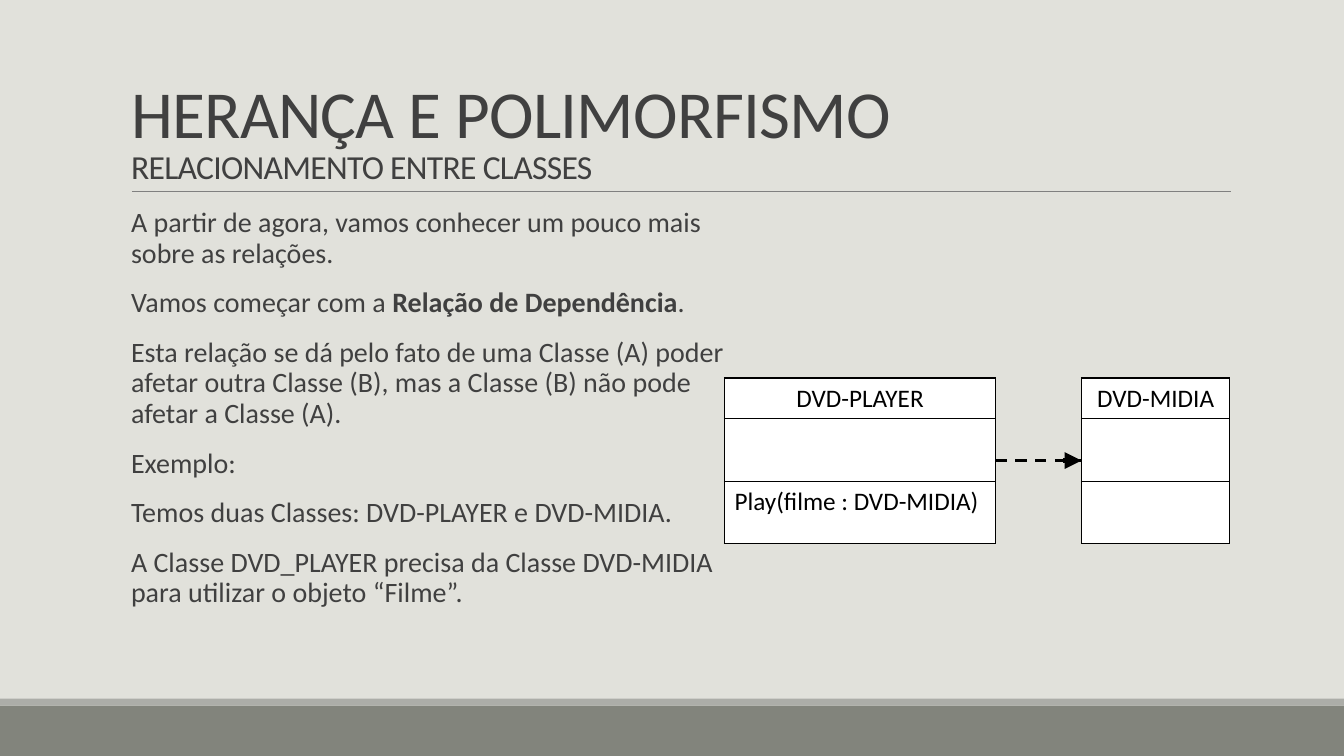
import dataclasses

import pptx
import pptx.dml.color
import pptx.enum.dml
import pptx.enum.shapes
import pptx.enum.text
import pptx.oxml
import pptx.oxml.ns
import pptx.util

Pt = pptx.util.Pt
ALIGN = pptx.enum.text.PP_ALIGN


@dataclasses.dataclass(frozen=True)
class Theme:
    font: str = "Calibri"
    background: str = "E1E1DB"
    band: str = "82847C"
    stripe: str = "ACADA8"
    rule: str = "808080"
    text: str = "404040"
    ink: str = "000000"
    paper: str = "FFFFFF"
    title_size: float = 48
    subtitle_size: float = 24
    body_size: float = 20
    class_size: float = 18


@dataclasses.dataclass(frozen=True)
class Box:
    left: float
    top: float
    width: float
    height: float

    @property
    def right(self):
        return self.left + self.width

    @property
    def lengths(self):
        return [Pt(value) for value in (self.left, self.top, self.width, self.height)]


THEME = Theme()
SLIDE = Box(0, 0, 960, 540)

PARAGRAPHS = [
    ["A partir de agora, vamos conhecer um pouco mais sobre as relações."],
    ["Vamos começar com a ", "Relação de Dependência", "."],
    ["Esta relação se dá pelo fato de uma Classe (A) poder afetar outra Classe (B), "
     "mas a Classe (B) não pode afetar a Classe (A)."],
    ["Exemplo:"],
    ["Temos duas Classes: DVD-PLAYER e DVD-MIDIA."],
    ["A Classe DVD_PLAYER precisa da Classe DVD-MIDIA para utilizar o objeto “Filme”."],
]


def rgb(value):
    return pptx.dml.color.RGBColor.from_string(value)


def add_xml(parent, tag, **attributes):
    element = pptx.oxml.parse_xml(f"<a:{tag} {pptx.oxml.ns.nsdecls('a')}/>")
    for name, value in attributes.items():
        element.set(name, value)
    parent.append(element)
    return element


def style_span(span, size, color):
    span.font.name = THEME.font
    span.font.size = Pt(size)
    span.font.color.rgb = rgb(color)


def add_line(page, start, end, color, width):
    line = page.shapes.add_connector(
        pptx.enum.shapes.MSO_CONNECTOR.STRAIGHT, *[Pt(value) for value in (*start, *end)])
    line.line.color.rgb = rgb(color)
    line.line.width = Pt(width)
    add_xml(line._element.spPr, "effectLst")
    return line


def add_bar(page, box, color):
    bar = page.shapes.add_shape(pptx.enum.shapes.MSO_SHAPE.RECTANGLE, *box.lengths)
    bar.shadow.inherit = False
    bar.fill.solid()
    bar.fill.fore_color.rgb = rgb(color)
    bar.line.fill.background()


def add_footer(page, box):
    stripe_height = 5
    add_bar(page, Box(box.left, box.top + stripe_height, box.width,
                      box.height - stripe_height), THEME.band)
    add_bar(page, Box(box.left, box.top, box.width, stripe_height), THEME.stripe)


def place(placeholder, box):
    placeholder.left, placeholder.top, placeholder.width, placeholder.height = box.lengths
    frame = placeholder.text_frame
    frame.word_wrap = True
    frame.auto_size = pptx.enum.text.MSO_AUTO_SIZE.NONE
    return frame


def fill_title(page, box):
    frame = place(page.shapes.title, box)
    frame.vertical_anchor = pptx.enum.text.MSO_ANCHOR.BOTTOM
    frame.text = "HERANÇA E POLIMORFISMO\vRELACIONAMENTO ENTRE CLASSES"
    para = frame.paragraphs[0]
    para.alignment = ALIGN.LEFT
    para.line_spacing = 0.85
    for span, size in zip(para.runs, (THEME.title_size, THEME.subtitle_size)):
        style_span(span, size, THEME.text)
        span.font._element.set("spc", "-50")
    add_line(page, (box.left + 7.8, box.top + box.height),
             (box.right + 0.7, box.top + box.height), THEME.rule, 0.5)


def fill_body(page, box):
    """Write the paragraphs; the second span of a paragraph is the bold term."""
    frame = place(page.placeholders[1], box)
    frame.vertical_anchor = pptx.enum.text.MSO_ANCHOR.TOP
    frame.margin_left = frame.margin_right = 0
    for index, pieces in enumerate(PARAGRAPHS):
        para = frame.add_paragraph() if index else frame.paragraphs[0]
        para.alignment = ALIGN.LEFT
        para.line_spacing = 0.9
        para.space_before = Pt(12)
        para.space_after = Pt(2)
        properties = para._p.get_or_add_pPr()
        properties.set("marL", str(Pt(7.2)))
        properties.set("indent", "0")
        add_xml(properties, "buNone")
        for position, piece in enumerate(pieces):
            span = para.add_run()
            span.text = piece
            style_span(span, THEME.body_size, THEME.text)
            span.font.bold = position == 1


def style_cell(cell):
    properties = cell._tc.get_or_add_tcPr()
    for side in ("lnL", "lnR", "lnT", "lnB"):
        border = add_xml(properties, side, w=str(Pt(1)))
        add_xml(add_xml(border, "solidFill"), "srgbClr", val=THEME.ink)
    cell.fill.solid()
    cell.fill.fore_color.rgb = rgb(THEME.paper)


def add_class(page, box, name, method=""):
    """Draw a class as a table of name, attributes and methods."""
    table = page.shapes.add_table(3, 1, *box.lengths).table
    table.first_row = table.horz_banding = False
    name_height = 28.8
    part_height = (box.height - name_height) / 2
    rows = zip(table.rows, (name_height, part_height, part_height), (name, "", method))
    for row, height, text in rows:
        row.height = Pt(height)
        cell = row.cells[0]
        style_cell(cell)
        if text:
            cell.text = text
            para = cell.text_frame.paragraphs[0]
            para.alignment = ALIGN.CENTER if text == name else ALIGN.LEFT
            style_span(para.runs[0], THEME.class_size, THEME.ink)


def add_class_diagram(page, box):
    player = Box(box.left, box.top, 193.7, box.height)
    media = Box(box.right - 106, box.top, 106, box.height)
    add_class(page, player, "DVD-PLAYER", "Play(filme : DVD-MIDIA)")
    add_class(page, media, "DVD-MIDIA")
    middle = box.top + box.height / 2
    shaft = add_line(page, (player.right, middle), (media.left, middle), THEME.ink, 2)
    shaft.line.dash_style = pptx.enum.dml.MSO_LINE.DASH
    head = add_line(page, (media.left - 13, middle), (media.left, middle), THEME.ink, 4)
    add_xml(head.line._get_or_add_ln(), "tailEnd", type="triangle")


def build_slide(deck):
    page = deck.slides.add_slide(deck.slide_layouts[1])
    page.background.fill.solid()
    page.background.fill.fore_color.rgb = rgb(THEME.background)
    add_footer(page, Box(0, 499, SLIDE.width, 41))
    fill_title(page, Box(86.4, 22.6, 792, 114.2))
    fill_body(page, Box(86.4, 145.4, 431.3, 316.8))
    add_class_diagram(page, Box(517.5, 270, 361, 118))


def main():
    deck = pptx.Presentation()
    deck.slide_width, deck.slide_height = Pt(SLIDE.width), Pt(SLIDE.height)
    build_slide(deck)
    deck.save("out.pptx")


if __name__ == "__main__":
    main()
